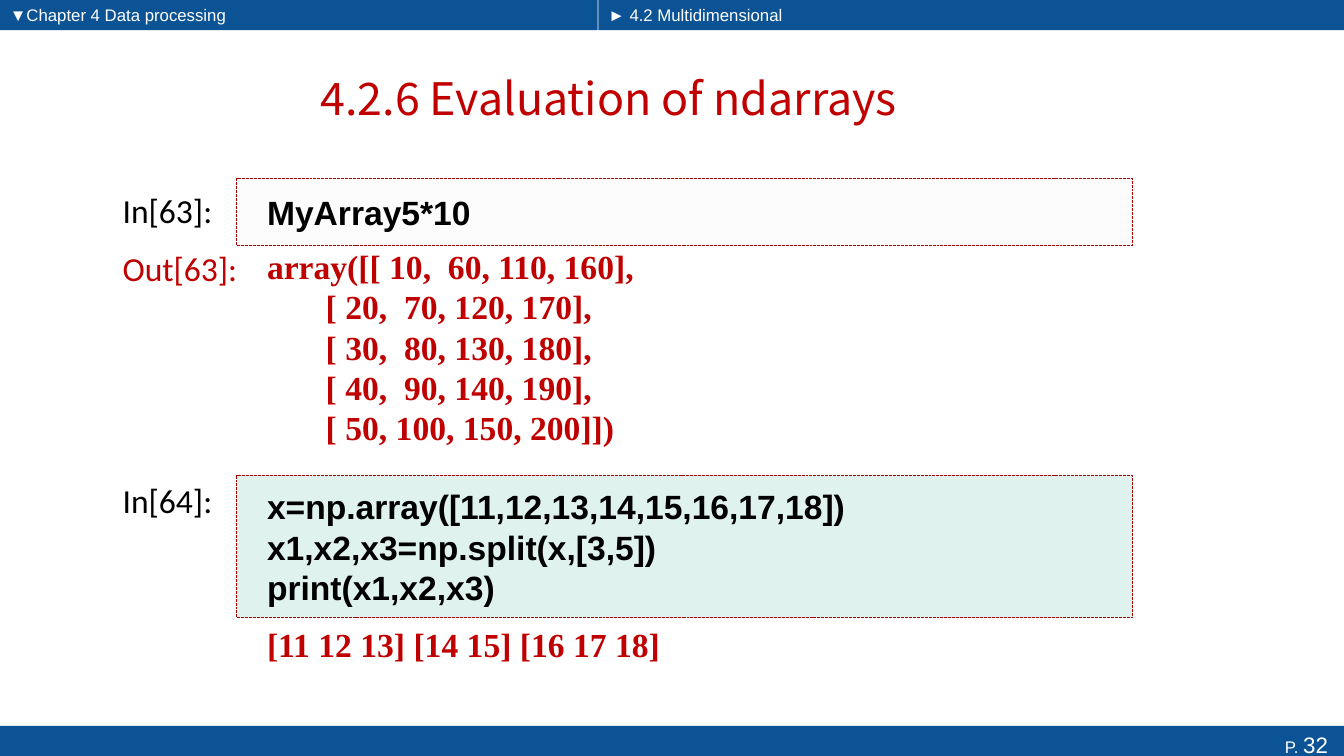
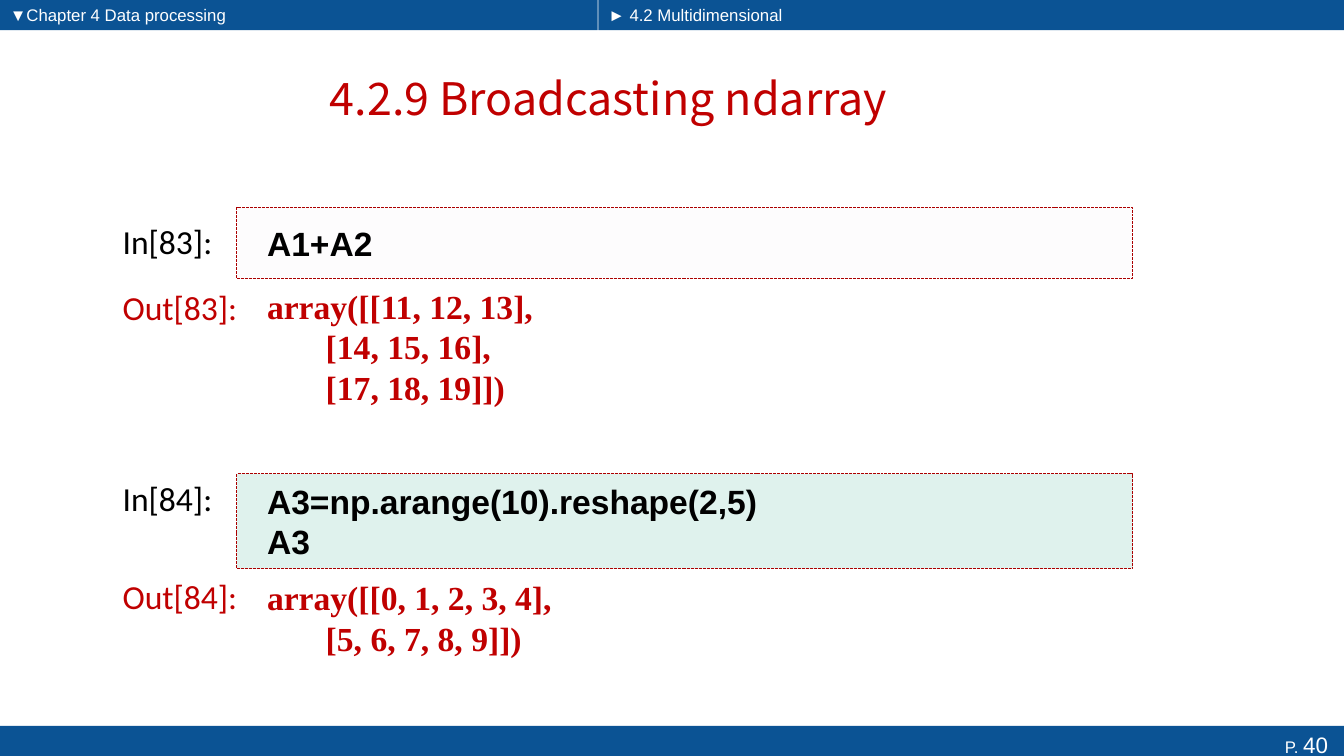
from lxml.etree import SubElement
from pptx import Presentation
from pptx.dml.color import RGBColor
from pptx.enum.dml import MSO_LINE
from pptx.enum.shapes import MSO_SHAPE
from pptx.enum.text import MSO_ANCHOR, PP_ALIGN
from pptx.oxml.ns import qn
from pptx.util import Cm, Pt

SLIDE_WIDTH, SLIDE_HEIGHT = 33.87, 19.05
BLUE, RED, BORDER = "0B5394", "C00000", "AB0000"
BLACK, WHITE = "000000", "FFFFFF"
GRAY_TINT, GREEN_TINT = "F1EEF4", "0C9B74"
TINT_OPACITY = 13
BAND_HEIGHT, FOOTER_TOP = 0.76, 18.29
SECTION_LEFT = 15.08
LABEL_LEFT, LABEL_WIDTH, LABEL_HEIGHT = 2.84, 3.9, 1.27
CELL_LEFT, CELL_WIDTH, CELL_INDENT = 5.97, 22.58, 0.76


def color(value):
    """Turn a hex string into a colour."""
    return RGBColor.from_string(value)


def add_run(paragraph, text, size, font="Arial", ink=WHITE, bold=False):
    """Append a formatted run to a paragraph."""
    run = paragraph.add_run()
    run.text = text
    run.font.size = Pt(size)
    run.font.name = font
    run.font.bold = bold
    run.font.color.rgb = color(ink)


def write_text(shape, text, align=PP_ALIGN.LEFT, anchor=MSO_ANCHOR.TOP,
               indent=0.25, **run_format):
    """Fill a shape with one paragraph per line of text."""
    frame = shape.text_frame
    frame.word_wrap = True
    frame.vertical_anchor = anchor
    frame.margin_left = Cm(indent)
    for index, line in enumerate(text.split("\n")):
        paragraph = frame.add_paragraph() if index else frame.paragraphs[0]
        paragraph.alignment = align
        add_run(paragraph, line, **run_format)


def add_text(slide, text, left, top, width, height, **text_format):
    """Add a text box."""
    box = slide.shapes.add_textbox(Cm(left), Cm(top), Cm(width), Cm(height))
    write_text(box, text, **text_format)


def add_rectangle(slide, left, top, width, height, fill):
    """Add a plain filled rectangle without outline."""
    shape = slide.shapes.add_shape(
        MSO_SHAPE.RECTANGLE, Cm(left), Cm(top), Cm(width), Cm(height))
    shape.shadow.inherit = False
    shape.fill.solid()
    shape.fill.fore_color.rgb = color(fill)
    shape.line.fill.background()
    return shape


def add_frame(slide, title, page):
    """Add the header bands, title and page footer."""
    add_rectangle(slide, 0, 0, SECTION_LEFT - 0.02, BAND_HEIGHT, BLUE)
    add_rectangle(slide, SECTION_LEFT, 0, SLIDE_WIDTH - SECTION_LEFT,
                  BAND_HEIGHT, BLUE)
    add_text(slide, "▼Chapter 4 Data processing", 0, 0, 12.27, BAND_HEIGHT,
             size=12)
    add_text(slide, "► 4.2 Multidimensional", SECTION_LEFT, 0, 6.05,
             BAND_HEIGHT, size=12)
    add_text(slide, title, 1.73, 1.32, 27.23, 2.29, align=PP_ALIGN.CENTER,
             anchor=MSO_ANCHOR.MIDDLE, size=32, font="Noto Sans CJK SC", ink=RED)
    footer = add_rectangle(slide, 0, FOOTER_TOP, SLIDE_WIDTH, BAND_HEIGHT, BLUE)
    write_text(footer, "P. ", align=PP_ALIGN.RIGHT, size=12)
    add_run(footer.text_frame.paragraphs[0], str(page), 16)
    footer.text_frame.margin_right = Cm(0.4)
    footer.text_frame.margin_bottom = 0


def add_label(slide, text, top, ink):
    """Add the In or Out label beside a cell."""
    add_text(slide, text, LABEL_LEFT, top, LABEL_WIDTH, LABEL_HEIGHT,
             size=24, font="Calibri", ink=ink)


def add_input(slide, label, label_top, code, top, height, tint):
    """Add a labelled code cell with a tinted, dashed box."""
    add_label(slide, label, label_top, BLACK)
    box = add_rectangle(slide, CELL_LEFT, top, CELL_WIDTH, height, tint)
    tint_color = box.element.spPr.find(qn("a:solidFill"))[0]
    SubElement(tint_color, qn("a:alpha"), val=str(TINT_OPACITY * 1000))
    box.line.color.rgb = color(BORDER)
    box.line.width = Pt(0.7)
    box.line.dash_style = MSO_LINE.SQUARE_DOT
    write_text(box, code, anchor=MSO_ANCHOR.MIDDLE, indent=CELL_INDENT,
               size=24, ink=BLACK, bold=True)


def add_output(slide, text, top, height, label=None, label_top=0):
    """Add the printed result of a cell, with a label if it has one."""
    if label:
        add_label(slide, label, label_top, RED)
    add_text(slide, text, CELL_LEFT, top, CELL_WIDTH, height,
             anchor=MSO_ANCHOR.MIDDLE, indent=CELL_INDENT, size=24,
             font="Times New Roman", ink=RED, bold=True)


def add_evaluation(slide):
    """Build the slide on evaluating arrays."""
    add_frame(slide, "4.2.6 Evaluation of ndarrays", 32)
    add_input(slide, "In[63]:", 4.67, "MyArray5*10", 4.5, 1.68, GRAY_TINT)
    add_output(slide, """array([[ 10,  60, 110, 160],
       [ 20,  70, 120, 170],
       [ 30,  80, 130, 180],
       [ 40,  90, 140, 190],
       [ 50, 100, 150, 200]])""", 5.97, 5.54, "Out[63]:", 6.12)
    add_input(slide, "In[64]:", 11.96, """x=np.array([11,12,13,14,15,16,17,18])
x1,x2,x3=np.split(x,[3,5])
print(x1,x2,x3)""", 11.99, 3.58, GREEN_TINT)
    add_output(slide, "[11 12 13] [14 15] [16 17 18]", 15.16, 2.16)


def add_broadcasting(slide):
    """Build the slide on broadcasting."""
    add_frame(slide, "4.2.9 Broadcasting ndarray", 40)
    add_input(slide, "In[83]:", 5.44, "A1+A2", 5.23, 1.78, GRAY_TINT)
    add_output(slide, """array([[11, 12, 13],
       [14, 15, 16],
       [17, 18, 19]])""", 7.14, 3.18, "Out[83]:", 7.11)
    add_input(slide, "In[84]:", 11.91, """A3=np.arange(10).reshape(2,5)
A3""", 11.94, 2.39, GREEN_TINT)
    add_output(slide, """array([[0, 1, 2, 3, 4],
       [5, 6, 7, 8, 9]])""", 14, 3.12, "Out[84]:", 14.38)


def main():
    """Build and save the presentation."""
    presentation = Presentation()
    presentation.slide_width = Cm(SLIDE_WIDTH)
    presentation.slide_height = Cm(SLIDE_HEIGHT)
    blank = presentation.slide_layouts[6]
    for build in (add_evaluation, add_broadcasting):
        build(presentation.slides.add_slide(blank))
    presentation.save("out.pptx")


if __name__ == "__main__":
    main()
